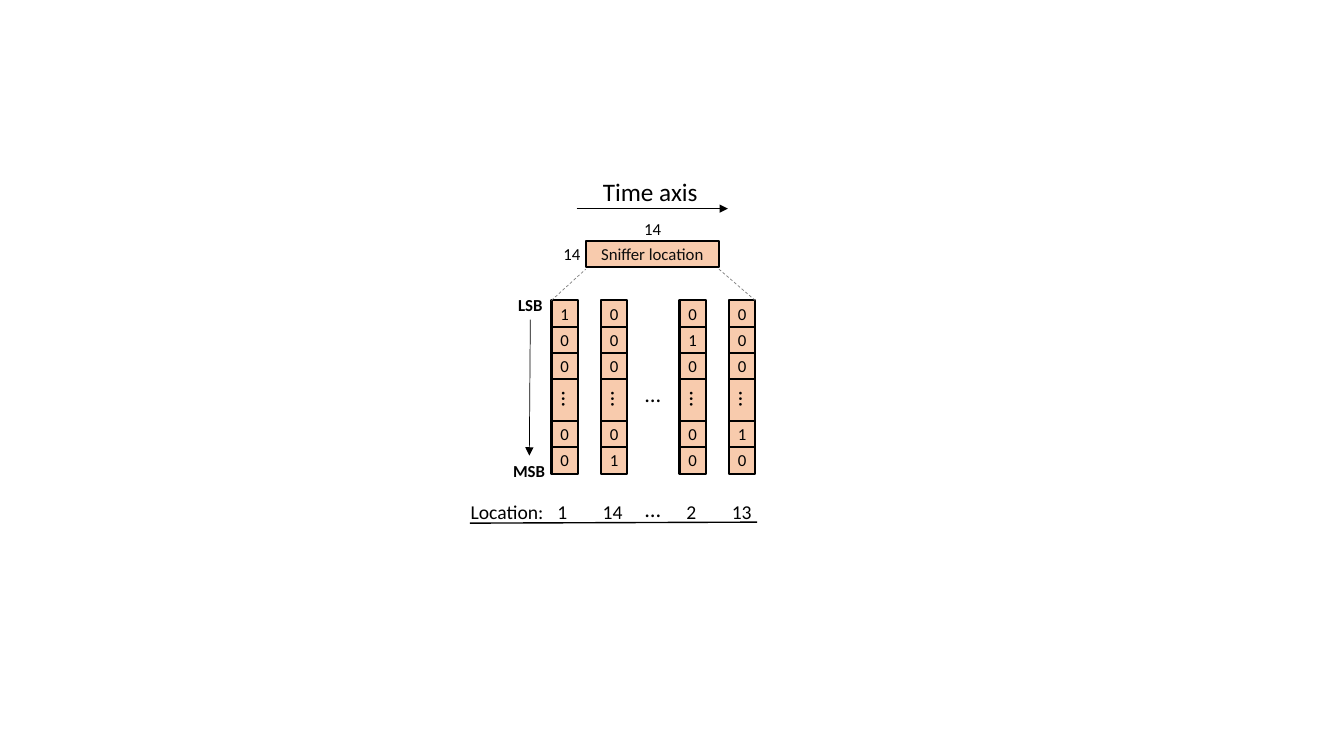
from lxml import etree
from pptx import Presentation
from pptx.dml.color import RGBColor
from pptx.enum.dml import MSO_LINE
from pptx.enum.shapes import MSO_CONNECTOR, MSO_SHAPE
from pptx.enum.text import MSO_ANCHOR, MSO_AUTO_SIZE, PP_ALIGN
from pptx.oxml.ns import qn
from pptx.util import Inches, Pt

STRAIGHT = MSO_CONNECTOR.STRAIGHT
RECTANGLE = MSO_SHAPE.RECTANGLE
DASH = MSO_LINE.DASH
MIDDLE = MSO_ANCHOR.MIDDLE
FIT_SHAPE = MSO_AUTO_SIZE.SHAPE_TO_FIT_TEXT
CENTER = PP_ALIGN.CENTER

BLACK = RGBColor(0x00, 0x00, 0x00)
NEAR_BLACK = RGBColor(0x0D, 0x0D, 0x0D)
GRAY = RGBColor(0x80, 0x80, 0x80)
PEACH = RGBColor(0xF8, 0xCB, 0xAD)
FONT = "Calibri"

CELL = 0.26
BITS_TOP = 2.98
BITS_HEIGHT = 1.72
ROW_TOPS = [BITS_TOP + CELL * row for row in (0, 1, 2, 4.6, 5.6)]
DIVIDERS = [BITS_TOP + CELL * row for row in (1, 2, 3, 4.6, 5.6)]
LOCATION_TOP = 4.91
HEADER_LEFT, HEADER_TOP, HEADER_WIDTH = 5.81, 2.39, 1.32

prs = Presentation()
prs.slide_width, prs.slide_height = Inches(13.33), Inches(7.5)
slide = prs.slides.add_slide(prs.slide_layouts[6])
shapes = slide.shapes


def add_label(text, left, top, width, height, size=12, bold=False):
    label = shapes.add_textbox(*map(Inches, (left, top, width, height)))
    frame = label.text_frame
    frame.word_wrap = False
    frame.auto_size = FIT_SHAPE
    paragraph = frame.paragraphs[0]
    paragraph.text = text
    font = paragraph.font
    font.name, font.size, font.bold = FONT, Pt(size), bold
    font.color.rgb = BLACK
    return label


def add_line(x1, y1, x2, y2, weight, color=BLACK, arrow=False):
    line = shapes.add_connector(STRAIGHT, *map(Inches, (x1, y1, x2, y2)))
    line.line.width = Pt(weight)
    line.line.color.rgb = color
    if arrow:
        etree.SubElement(line.line._get_or_add_ln(), qn("a:tailEnd"), type="triangle")
    etree.SubElement(line._element.spPr, qn("a:effectLst"))
    return line


add_label("Time axis", 5.88, 1.7, 1.15, 0.4, size=18)
add_line(5.72, 2.07, 7.22, 2.07, 0.5, arrow=True)
add_label("14", 6.29, 2.12, 0.37, 0.3)
add_label("14", 5.49, 2.37, 0.37, 0.3)

bit_columns = [
    (5.47, "10000"),
    (5.96, "00001"),
    (6.74, "01000"),
    (7.23, "00010"),
]
boxes = [(HEADER_LEFT, HEADER_TOP, HEADER_WIDTH, CELL, "Sniffer location")]
boxes += [(left, BITS_TOP, CELL, BITS_HEIGHT, "") for left, bits in bit_columns]
for left, top, width, height, caption in boxes:
    box = shapes.add_shape(RECTANGLE, *map(Inches, (left, top, width, height)))
    box.shadow.inherit = False
    box.fill.solid()
    box.fill.fore_color.rgb = PEACH
    box.line.color.rgb = BLACK
    box.line.width = Pt(1.5)
    if caption:
        box.text_frame.vertical_anchor = MIDDLE
        paragraph = box.text_frame.paragraphs[0]
        paragraph.text = caption
        paragraph.alignment = CENTER
        paragraph.font.name, paragraph.font.size = FONT, Pt(12)
        paragraph.font.color.rgb = NEAR_BLACK

for bits_edge, header_edge in ((5.47, HEADER_LEFT), (7.49, HEADER_LEFT + HEADER_WIDTH)):
    guide = add_line(bits_edge, BITS_TOP, header_edge, 2.67, 0.5, GRAY)
    guide.line.dash_style = DASH

for left, bits in bit_columns:
    for divider in DIVIDERS:
        add_line(left, divider, left + CELL, divider, 1.5)
    add_label("…", left + 0.01, BITS_TOP + 0.8, 0.36, 0.37, size=16).rotation = 90
    for bit, row_top in zip(bits, ROW_TOPS):
        add_label(bit, left - 0.01, row_top - 0.02, 0.29, 0.3)

add_label("…", 6.3, 3.72, 0.36, 0.37, size=16)
add_label("LSB", 5.04, 2.87, 0.45, 0.3, bold=True)
add_label("MSB", 4.99, 4.52, 0.52, 0.3, bold=True)
add_line(5.26, 3.17, 5.25, 4.52, 0.5, arrow=True)

locations = [
    ("Location:", 4.57, 0.93),
    ("1", 5.43, 0.3),
    ("14", 5.88, 0.4),
    ("2", 6.71, 0.3),
    ("13", 7.16, 0.4),
]
for location, left, width in locations:
    add_label(location, left, LOCATION_TOP, width, 0.34, size=14)
add_label("…", 6.3, LOCATION_TOP - 0.05, 0.36, 0.37, size=16)
add_line(4.66, 5.19, 7.51, 5.18, 1)

prs.save("out.pptx")
